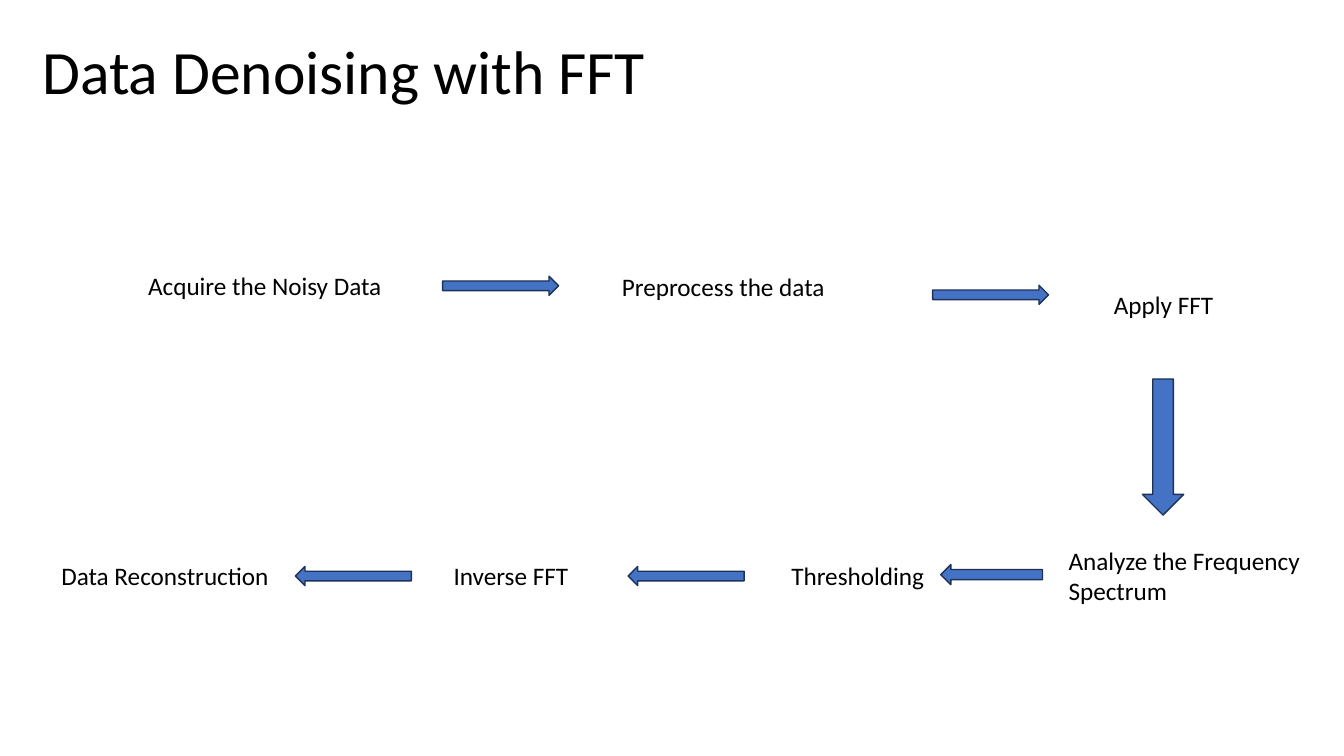
import pptx
import pptx.util
import pptx.dml.color
import pptx.enum.shapes
import pptx.enum.text

Inches, Pt = pptx.util.Inches, pptx.util.Pt
Anchor = pptx.enum.text.MSO_ANCHOR

TITLE = "Data Denoising with FFT"
# text, left, top, width, height
STEPS = [
    ("Acquire the Noisy Data", 1.37, 2.63, 3.35, 0.4),
    ("Preprocess the data", 6.07, 2.64, 2.43, 0.4),
    ("Apply FFT", 10.95, 2.82, 3, 0.4),
    ("Analyze the Frequency Spectrum", 10.5, 5.36, 3, 0.71),
    ("Thresholding", 7.75, 5.51, 3, 0.4),
    ("Inverse FFT", 4.4, 5.51, 3, 0.4),
    ("Data Reconstruction", 0.51, 5.51, 3, 0.4),
]
# left, top, width, height, turn in degrees
ARROWS = [
    (4.39, 2.74, 1.15, 0.19, 0),
    (9.25, 2.83, 1.15, 0.19, 0),
    (10.86, 4.23, 1.35, 0.41, 90),
    (9.33, 5.6, 1.01, 0.2, 180),
    (6.23, 5.62, 1.15, 0.19, 180),
    (2.93, 5.62, 1.15, 0.19, 180),
]
BLACK, BLUE, NAVY = "000000", "4472C4", "1E3256"


def color(code):
    return pptx.dml.color.RGBColor.from_string(code)


def add_text(slide, text, box, size, anchor=Anchor.TOP, lead=1.0):
    frame = slide.shapes.add_textbox(*map(Inches, box)).text_frame
    frame.word_wrap = True
    frame.vertical_anchor = anchor
    para = frame.paragraphs[0]
    para.line_spacing = lead
    run = para.add_run()
    run.text = text
    for name, value in {"name": "Calibri", "size": Pt(size)}.items():
        setattr(run.font, name, value)
    run.font.color.rgb = color(BLACK)


def add_arrow(slide, box, turn):
    kind = pptx.enum.shapes.MSO_SHAPE.RIGHT_ARROW
    arrow = slide.shapes.add_shape(kind, *map(Inches, box))
    arrow.rotation = turn
    arrow.shadow.inherit = False
    arrow.fill.solid()
    arrow.fill.fore_color.rgb = color(BLUE)
    arrow.line.color.rgb = color(NAVY)
    arrow.line.width = Pt(1)


def main():
    deck = pptx.Presentation()
    deck.slide_width, deck.slide_height = Inches(13.33), Inches(7.5)
    slide = deck.slides.add_slide(deck.slide_layouts[6])
    add_text(slide, TITLE, (0.32, 0.01, 11.5, 1.45), 44, Anchor.MIDDLE, 0.9)
    for text, *box in STEPS:
        add_text(slide, text, box, 18)
    for *box, turn in ARROWS:
        add_arrow(slide, box, turn)
    deck.save("out.pptx")


if __name__ == "__main__":
    main()
